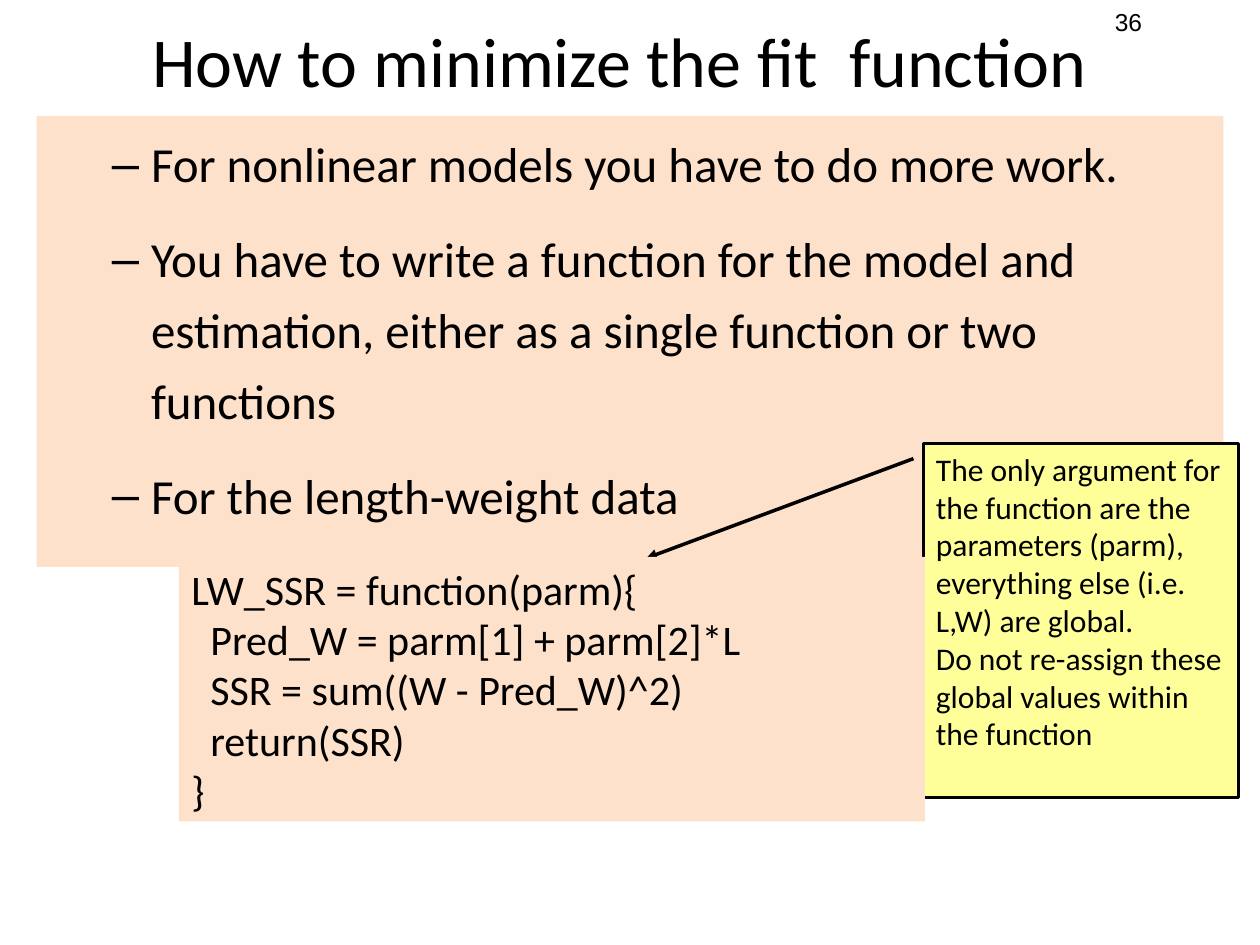
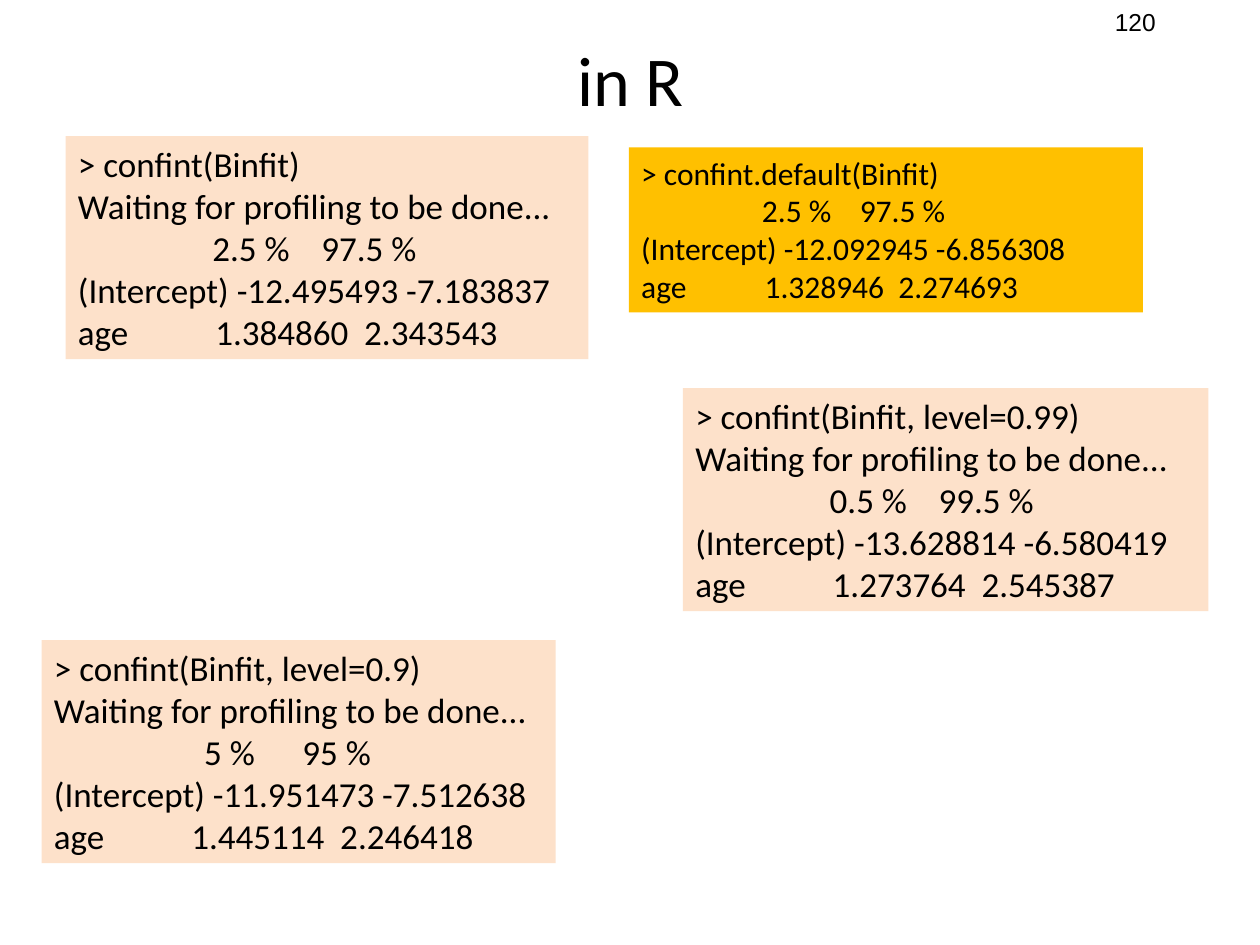
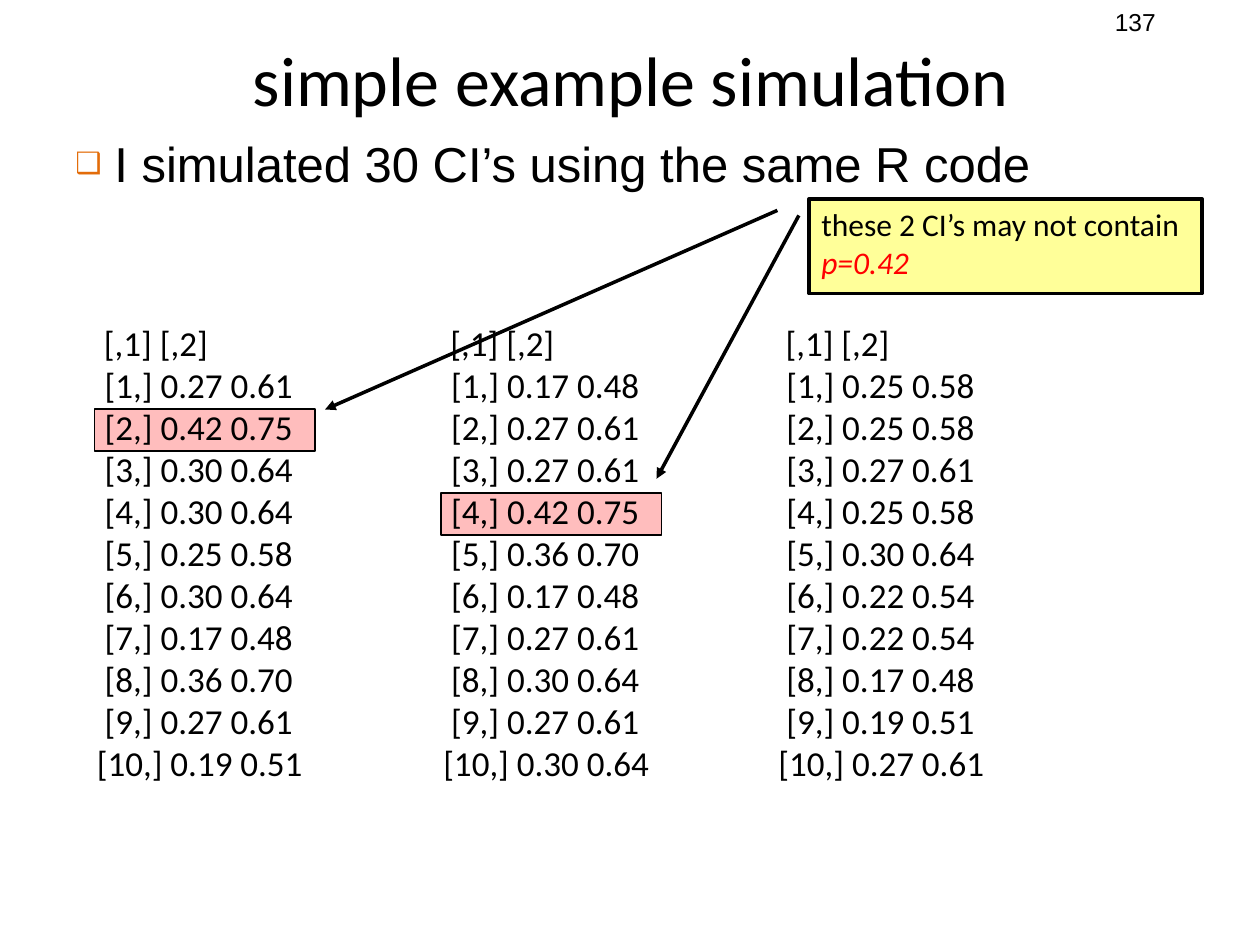
"""Build three lecture slides on fitting models and confidence intervals in R."""
from lxml import etree
from pptx import Presentation
from pptx import util as u
from pptx.dml.color import RGBColor
from pptx.enum import shapes, text
from pptx.oxml import ns

COLORS = {
    "ink": "000000",
    "code": "FDE1CA",
    "contrast": "FFC000",
    "note": "FFFF99",
    "red": "FF0000",
    "bullet": "E36C09",
}
HIGHLIGHT_ALPHA = 26
ROW_HEIGHT = 1 / 3
INTERVALS_TOP = 2.5


def rgb(name):
    return RGBColor.from_string(COLORS[name])


def add_xml(parent, tag, **attributes):
    return etree.SubElement(parent, ns.qn(tag), attributes)


def write(frame, lines, size=20, font="Calibri", align=text.PP_ALIGN.LEFT,
          bullet=None, bullet_color=None, bullet_percent=100):
    """Fill a frame; a line is a string or a list of (string, overrides) runs."""
    frame.word_wrap = True
    for index, line in enumerate(lines):
        paragraph = frame.paragraphs[0] if index == 0 else frame.add_paragraph()
        paragraph.alignment = align
        if bullet:
            paragraph.level = 1
            paragraph.line_spacing = 1.2
            paragraph.space_before = u.Pt(size / 2 if index else 0)
            properties = paragraph._p.get_or_add_pPr()
            properties.set("marL", str(u.Inches(0.81)))
            properties.set("indent", str(u.Inches(-0.31)))
            if bullet_color:
                add_xml(add_xml(properties, "a:buClr"), "a:srgbClr", val=COLORS[bullet_color])
            add_xml(properties, "a:buSzPct", val=str(bullet_percent * 1000))
            add_xml(properties, "a:buFont", typeface="Arial")
            add_xml(properties, "a:buChar", char=bullet)
        for words, change in [(line, {})] if isinstance(line, str) else line:
            run = paragraph.add_run()
            run.text = words
            run.font.name = font
            run.font.size = u.Pt(change.get("size", size))
            run.font.color.rgb = rgb(change.get("color", "ink"))
            run.font.italic = change.get("italic")


class Deck:
    """Hold the lecture style and the slide being built."""

    def __init__(self):
        self.presentation = Presentation()
        self.presentation.slide_width = u.Inches(10)
        self.presentation.slide_height = u.Inches(7.5)
        self.slide = None

    def start(self, title, number, left=0.51, top=0.17):
        self.slide = self.presentation.slides.add_slide(self.presentation.slide_layouts[5])
        heading = self.slide.shapes.title
        heading.left, heading.top = u.Inches(left), u.Inches(top)
        heading.width, heading.height = u.Inches(8.99), u.Inches(0.91)
        heading.text_frame.auto_size = text.MSO_AUTO_SIZE.NONE
        heading.text_frame.vertical_anchor = text.MSO_ANCHOR.MIDDLE
        write(heading.text_frame, [title], size=40, align=text.PP_ALIGN.CENTER)
        self.panel((8.75, 0.01, 1, 0.34), [str(number)], size=14, font="Arial")

    def panel(self, box, lines, fill=None, grow=True, **style):
        panel = self.slide.shapes.add_textbox(*map(u.Inches, box))
        if fill:
            panel.fill.solid()
            panel.fill.fore_color.rgb = rgb(fill)
        write(panel.text_frame, lines, **style)
        fit = text.MSO_AUTO_SIZE
        panel.text_frame.auto_size = fit.SHAPE_TO_FIT_TEXT if grow else fit.NONE

    def outlined(self, kind, box, fill, weight):
        figure = self.slide.shapes.add_shape(kind, *map(u.Inches, box))
        figure.shadow.inherit = False
        figure.fill.solid()
        figure.fill.fore_color.rgb = rgb(fill)
        self.stroke(figure, weight)
        return figure

    def stroke(self, figure, weight, arrow=False):
        figure.line.color.rgb = rgb("ink")
        figure.line.width = u.Pt(weight)
        if arrow:
            add_xml(figure.element.spPr.find(ns.qn("a:ln")), "a:tailEnd", type="triangle")

    def highlight(self, box):
        marker = self.outlined(shapes.MSO_SHAPE.RECTANGLE, box, "red", 0.75)
        tint = marker.element.spPr.find(ns.qn("a:solidFill")).find(ns.qn("a:srgbClr"))
        add_xml(tint, "a:alpha", val=str(HIGHLIGHT_ALPHA * 1000))

    def callout(self, box, pointer, lines):
        """Add a note whose pointer runs between two (x, y) slide positions."""
        left, top, width, height = box
        note = self.outlined(shapes.MSO_SHAPE.LINE_CALLOUT_1, box, "note", 2)
        self.stroke(note, 2, arrow=True)
        for index, (x, y) in enumerate(pointer):
            note.adjustments[2 * index] = (y - top) / height
            note.adjustments[2 * index + 1] = (x - left) / width
        note.text_frame.vertical_anchor = text.MSO_ANCHOR.TOP
        write(note.text_frame, lines, size=18)

    def arrow(self, start, end):
        pointer = self.slide.shapes.add_connector(
            shapes.MSO_CONNECTOR.STRAIGHT, *map(u.Inches, start + end))
        self.stroke(pointer, 2, arrow=True)
        add_xml(pointer.element.spPr, "a:effectLst")


def minimize_slide(deck):
    deck.start("How to minimize the fit  function", 36, left=0.42, top=0.02)
    deck.panel((0.29, 0.92, 9.42, 3.58), [
        "For nonlinear models you have to do more work.",
        "You have to write a function for the model and estimation, "
        "either as a single function or two functions",
        "For the length-weight data",
    ], fill="code", grow=False, size=28, bullet="–")
    deck.callout((7.33, 3.52, 2.5, 2.81), [(7.25, 3.64), (5.13, 4.43)], [
        "The only argument for the function are the parameters (parm), "
        "everything else (i.e. L,W) are global.",
        "Do not re-assign these global values within the function",
    ])
    deck.panel((1.42, 4.42, 5.92, 2.1), [
        "LW_SSR = function(parm){",
        "  Pred_W = parm[1] + parm[2]*L",
        "  SSR = sum((W - Pred_W)^2)",
        "  return(SSR)",
        "}",
    ], fill="code", size=24)


def confint_slide(deck):
    deck.start("in R", 120)
    waiting = "Waiting for profiling to be done..."
    profiled = [
        ((0.52, 1.08, 4.15, 1.77), "> confint(Binfit)",
         "                 2.5 %    97.5 %",
         "-12.495493 -7.183837", "1.384860  2.343543"),
        ((0.33, 5.08, 4.08, 1.77), "> confint(Binfit, level=0.9)",
         "                   5 %      95 %",
         "-11.951473 -7.512638", "1.445114  2.246418"),
        ((5.42, 3.08, 4.17, 1.77), "> confint(Binfit, level=0.99)",
         "                 0.5 %    99.5 %",
         "-13.628814 -6.580419", "1.273764  2.545387"),
    ]
    for box, command, limits, intercept, age in profiled:
        deck.panel(box, [command, waiting, limits, f"(Intercept) {intercept}",
                         f"age           {age}"], fill="code")
    deck.panel((4.99, 1.17, 4.08, 1.31), [
        "> confint.default(Binfit)",
        "                 2.5 %    97.5 %",
        "(Intercept) -12.092945 -6.856308",
        "age           1.328946  2.274693",
    ], fill="contrast", size=18)


def simulation_slide(deck):
    deck.start("simple example simulation", 137)
    for column_left, row in [(3.42, 4), (0.67, 2)]:
        row_top = INTERVALS_TOP + 0.08 + row * ROW_HEIGHT
        deck.highlight((column_left + 0.08, row_top, 1.75, ROW_HEIGHT))
    deck.panel((0, 0.92, 9.92, 1.17), ["I simulated 30 CI’s using the same R code"],
               grow=False, size=28, font="Arial", bullet="❑",
               bullet_color="bullet", bullet_percent=60)
    upper = {"0.17": "0.48", "0.19": "0.51", "0.22": "0.54", "0.25": "0.58",
             "0.27": "0.61", "0.30": "0.64", "0.36": "0.70", "0.42": "0.75"}
    columns = [
        (0.67, 2.08, "0.27 0.42 0.30 0.30 0.25 0.30 0.17 0.36 0.27 0.19"),
        (3.42, 2, "0.17 0.27 0.27 0.42 0.36 0.17 0.27 0.30 0.27 0.30"),
        (6.08, 2.5, "0.25 0.25 0.27 0.25 0.30 0.22 0.22 0.17 0.19 0.27"),
    ]
    for left, width, lower in columns:
        rows = [f"{f'[{number},]':>5} {low} {upper[low]}"
                for number, low in enumerate(lower.split(), 1)]
        header = [(" ", {"size": 18}), ("[,1] [,2]", {})]
        deck.panel((left, INTERVALS_TOP, width, 3.77), [header] + rows)
    deck.callout((6.42, 1.58, 3.12, 0.75), [(6.34, 1.71), (5.21, 3.8)], [
        [("these 2 CI’s may not contain", {}),
         (" p=0.42", {"color": "red", "italic": True})],
    ])
    deck.arrow((6.17, 1.67), (2.58, 3.25))


def main():
    deck = Deck()
    minimize_slide(deck)
    confint_slide(deck)
    simulation_slide(deck)
    deck.presentation.save("out.pptx")


if __name__ == "__main__":
    main()
